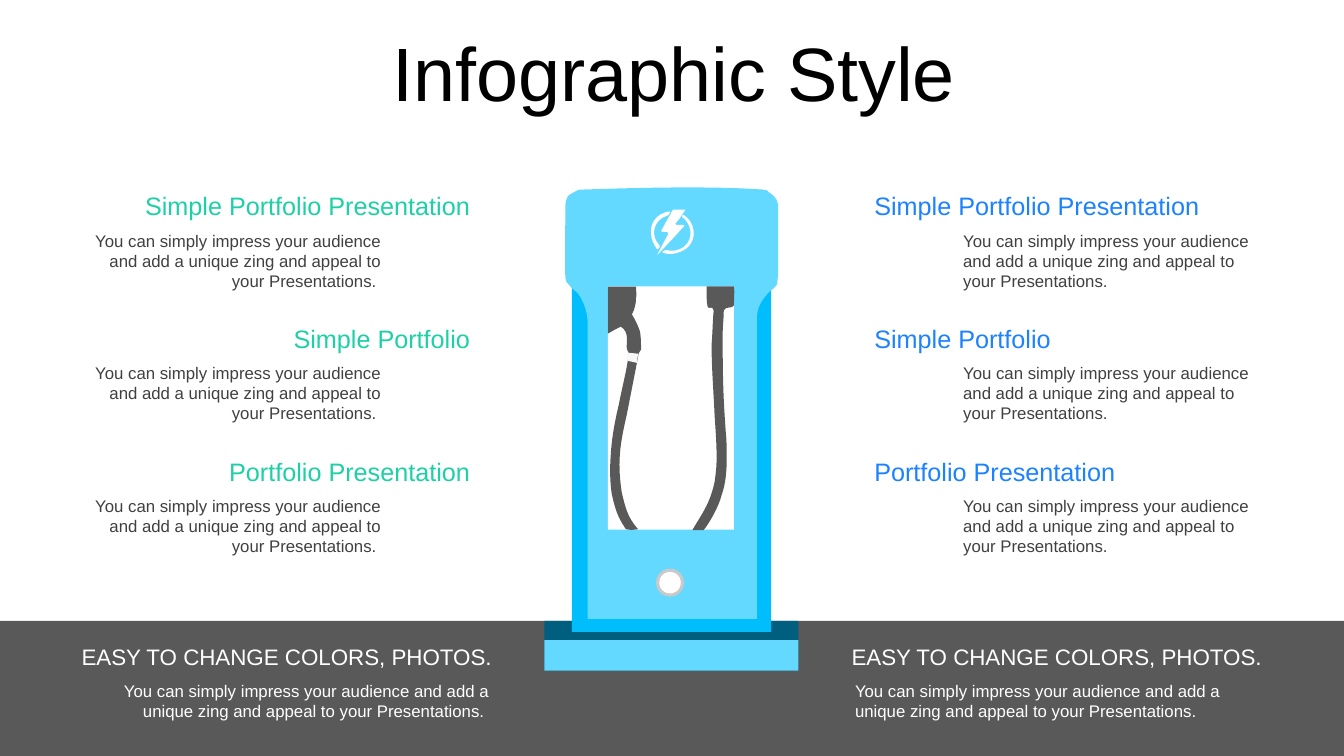
from lxml import etree
from pptx import Presentation
from pptx import util as u
from pptx.dml.color import RGBColor
from pptx.enum import shapes, text
from pptx.oxml import ns

COLORS = {
    "black": "000000", "white": "FFFFFF", "dark": "595959", "body": "404040",
    "navy": "005E7E", "sky": "64D9FF", "azure": "00BDFB", "silver": "C9C9C9",
    "pale": "F7F7F7", "blue": "1C82FF", "green": "1ED0A6",
}
LEFT, RIGHT, CENTER = text.PP_ALIGN.LEFT, text.PP_ALIGN.RIGHT, text.PP_ALIGN.CENTER
SUMMARY = ("You can simply impress your audience and add a unique zing "
           "and appeal to your Presentations.")

presentation = Presentation()
presentation.slide_width, presentation.slide_height = u.Pt(960), u.Pt(540)
slide = presentation.slides.add_slide(presentation.slide_layouts[6])


def draw(color, *outlines, box=None):
    if box:
        shape = slide.shapes.add_shape(outlines[0], *[u.Pt(value) for value in box])
    else:
        builder = slide.shapes.build_freeform(*[u.Pt(v) for v in outlines[0][0]], scale=1)
        for number, (start, *segments) in enumerate(outlines):
            if number:
                builder.move_to(*[u.Pt(value) for value in start])
            builder.add_line_segments(
                [(u.Pt(segment[i]), u.Pt(segment[i + 1]))
                 for segment in segments for i in range(0, len(segment), 2)], close=False)
            builder.add_line_segments([], close=True)
        shape = builder.convert_to_shape()
        lines = iter(list(shape.element.iter(ns.qn("a:lnTo"))))
        for segment in [segment for outline in outlines for segment in outline[1:]]:
            line = next(lines)
            if len(segment) == 6:
                curve = etree.Element(ns.qn("a:cubicBezTo"))
                line.addprevious(curve)
                for part in [line, next(lines), next(lines)]:
                    curve.append(part[0])
                    part.getparent().remove(part)
    shape.shadow.inherit = False
    shape.fill.solid()
    shape.fill.fore_color.rgb = RGBColor.from_string(COLORS[color])
    shape.line.fill.background()


def write(words, box, size, color, **paragraph_format):
    shape = slide.shapes.add_textbox(*[u.Pt(value) for value in box])
    frame = shape.text_frame
    frame.word_wrap = True
    frame.auto_size = text.MSO_AUTO_SIZE.SHAPE_TO_FIT_TEXT
    paragraph = frame.paragraphs[0]
    for name, value in paragraph_format.items():
        setattr(paragraph, name, value)
    run = paragraph.add_run()
    run.text = words
    for name, value in {"size": u.Pt(size), "name": "Arial"}.items():
        setattr(run.font, name, value)
    run.font.color.rgb = RGBColor.from_string(COLORS[color])
    return frame


title = write("Infographic Style", (25.6, 21.7, 911.5, 66.2), 54, "black",
              alignment=CENTER, line_spacing=0.9, space_before=u.Pt(10))
title.vertical_anchor = text.MSO_ANCHOR.MIDDLE

RECTANGLE, OVAL = shapes.MSO_SHAPE.RECTANGLE, shapes.MSO_SHAPE.OVAL
for color, box in [
    ("dark", (0, 443.5, 960, 96.5)),
    ("navy", (388.8, 443.5, 181.6, 35.5)),
    ("sky", (388.8, 457.2, 181.6, 21.8)),
    ("azure", (408.5, 195.8, 142.4, 255.6)),
]:
    draw(color, RECTANGLE, box=box)

charger_body = [
    (417.6, 135.4), (442.8, 134.6, 502.6, 132.5, 544.3, 135.4),
    (548.6, 136.1, 547.2, 135.4, 549.4, 137.5),
    (551.5, 139, 555.1, 141.1, 555.8, 146.2), (555.8, 195.8), (555.1, 203),
    (553.7, 205.9, 550.1, 207.4, 547.9, 210.2),
    (545, 213.8, 540.7, 218.9, 540.7, 226.8),
    (540.7, 442.1), (419.8, 442.1), (419.8, 229),
    (419, 221, 416.9, 216.7, 414.7, 212.4),
    (412.6, 208.1, 408.2, 206.6, 406.8, 203.8),
    (404.6, 201.6, 403.9, 200.9, 403.9, 198.7),
    (403.2, 189.4, 403.9, 157, 403.9, 147.6),
    (403.9, 145.4, 403.9, 144, 404.6, 142.6),
    (405.4, 139.7, 407.5, 138.2, 409.7, 137.5),
    (411.8, 136.1, 412.6, 135.4, 417.6, 135.4),
]
bolt = [
    (489.6, 149.8), (485.3, 156.2), (482.4, 159.8), (483.1, 160.6), (488.2, 160.6),
    (488.9, 161.3), (488.2, 162), (481, 169.9), (470.2, 181.4), (469.4, 182.2),
    (470.9, 179.3), (477.4, 167), (476.6, 165.6), (473, 165.6), (472.3, 164.9),
    (480.2, 150.5), (481, 149.8),
]
right_arc = [
    (480.2, 181.4), (478.1, 181.4, 475.9, 181.4, 473.8, 180.7),
    (473, 180, 473, 180, 473.8, 179.3), (474.5, 178.6, 474.5, 178.6, 475.9, 178.6),
    (483.8, 180.7, 491.8, 176.4, 493.2, 168.5), (493.9, 163.4, 491.8, 159.1, 488.2, 155.5),
    (487.4, 155.5, 486.7, 155.5, 487.4, 154.8), (487.4, 154.1, 487.4, 153.4, 488.2, 153.4),
    (492.5, 156.2, 494.6, 159.8, 495.4, 164.2), (496.8, 172.8, 491, 180, 480.2, 181.4),
]
left_arc = [
    (465.1, 166.3), (464.4, 159.1, 469.4, 152.6, 477.4, 151.2),
    (478.1, 151.2, 478.1, 150.5, 478.8, 151.2), (478.1, 153.4, 477.4, 153.4, 476.6, 154.1),
    (466.6, 157, 464.4, 168.5, 470.9, 175), (471.6, 175.7, 471.6, 177.1, 470.2, 177.8),
    (469.4, 178.1), (466.6, 174.2, 465.1, 170.6, 465.1, 166.3),
]
draw("sky", charger_body)
for outline in [bolt, right_arc, left_arc]:
    draw("white", outline)

for color, diameter in [("silver", 20), ("white", 15.4)]:
    draw(color, OVAL, box=(478.6 - diameter / 2, 416.2 - diameter / 2, diameter, diameter))
draw("white", RECTANGLE, box=(434.2, 204.5, 90, 173.8))

right_hose = [
    (504.7, 204.5), (524.2, 204.5), (524.9, 209.5, 524.2, 214.6, 524.2, 218.2),
    (522.7, 221, 518.4, 218.2, 517, 221.8),
    (517, 227.5, 516.2, 233.3, 516.2, 239),
    (516.2, 276.5, 517, 288, 518.4, 308.2),
    (519.1, 314.6, 519.1, 321.1, 519.1, 327.6),
    (519.1, 336.2, 518.4, 345.6, 515.5, 353.5),
    (513.4, 362.2, 506.2, 374.4, 502.6, 378.7), (494.6, 378.7),
    (501.1, 367.2, 506.9, 360.7, 510.5, 344.2),
    (511.2, 339.1, 511.9, 333.4, 511.9, 326.9),
    (511.9, 317.5, 511.2, 307.4, 510.5, 297.4),
    (509.8, 280.8, 508.3, 263.5, 508.3, 246.2),
    (509, 238.3, 509, 229.7, 509.8, 221.8),
    (509, 217.4, 506.2, 221.8, 505.4, 218.9),
    (504.7, 216, 504.7, 209.5, 504.7, 204.5),
]
left_hose = [
    (434.2, 204.8), (454.3, 204.8), (454.3, 208.1, 455, 210.2, 454.3, 213.1),
    (454.3, 216.7, 453.6, 220.3, 451.4, 224.6),
    (453.6, 228.2, 455.8, 232.6, 457.2, 236.9),
    (457.9, 241.2, 457.9, 245.5, 457.9, 249.8),
    (455.8, 252.7, 455.8, 253.4, 455.8, 254.9), (447.8, 295.9),
    (445.7, 305.3, 443.5, 314.6, 442.8, 324.7),
    (442.1, 334.1, 442.8, 342.7, 444.2, 352.1),
    (446.4, 360.7, 447.8, 369.4, 455.8, 378),
    (451.4, 378.7, 449.3, 378.7, 447.1, 378),
    (445.7, 375.8, 444.2, 373.7, 443.5, 372.2),
    (439.9, 365.8, 438.5, 359.3, 437, 352.8),
    (435.6, 343.4, 435.6, 334.1, 436.3, 324.7),
    (437, 312.5, 439.2, 301, 442.1, 288.7),
    (444.2, 277.9, 447.8, 263.5, 448.6, 256.3),
    (450, 249.8, 448.6, 252.7, 447.8, 249.1),
    (447.1, 244.8, 450, 237.6, 443.5, 233.3),
    (442.1, 234, 439.2, 235.4, 434.2, 238.3),
]
hose_collar = [(455, 259.2), (448.6, 257.8), (447.8, 256.9, 447.8, 252.7, 449.3, 252),
               (455.8, 252.7)]
draw("dark", right_hose, left_hose)
draw("pale", hose_collar)

HEADINGS = ["Simple Portfolio Presentation", "Simple Portfolio", "Portfolio Presentation"]
for color, alignment, heading_x, summary_x, banner_x, note_x, ending in [
    ("blue", LEFT, 617.4, 680.9, 601.2, 603.7, ""),
    ("green", RIGHT, 49, 49, 49, 51.4, " "),
]:
    for row, heading in enumerate(HEADINGS):
        write(heading, (heading_x, 136.8 + 94.9 * row, 293.8, 24.5), 18, color,
              alignment=alignment, line_spacing=0.8)
    for row in range(len(HEADINGS)):
        write(SUMMARY + ending, (summary_x, 161 + 94.6 * row, 230.4, 51.1), 12, "body",
              alignment=alignment)
    write("EASY TO CHANGE COLORS, PHOTOS.", (banner_x, 455.9, 309.6, 26.6), 16, "white",
          alignment=alignment)
    write(SUMMARY + ending, (note_x, 482.4, 305.3, 36), 12, "white", alignment=alignment)

presentation.save("out.pptx")
